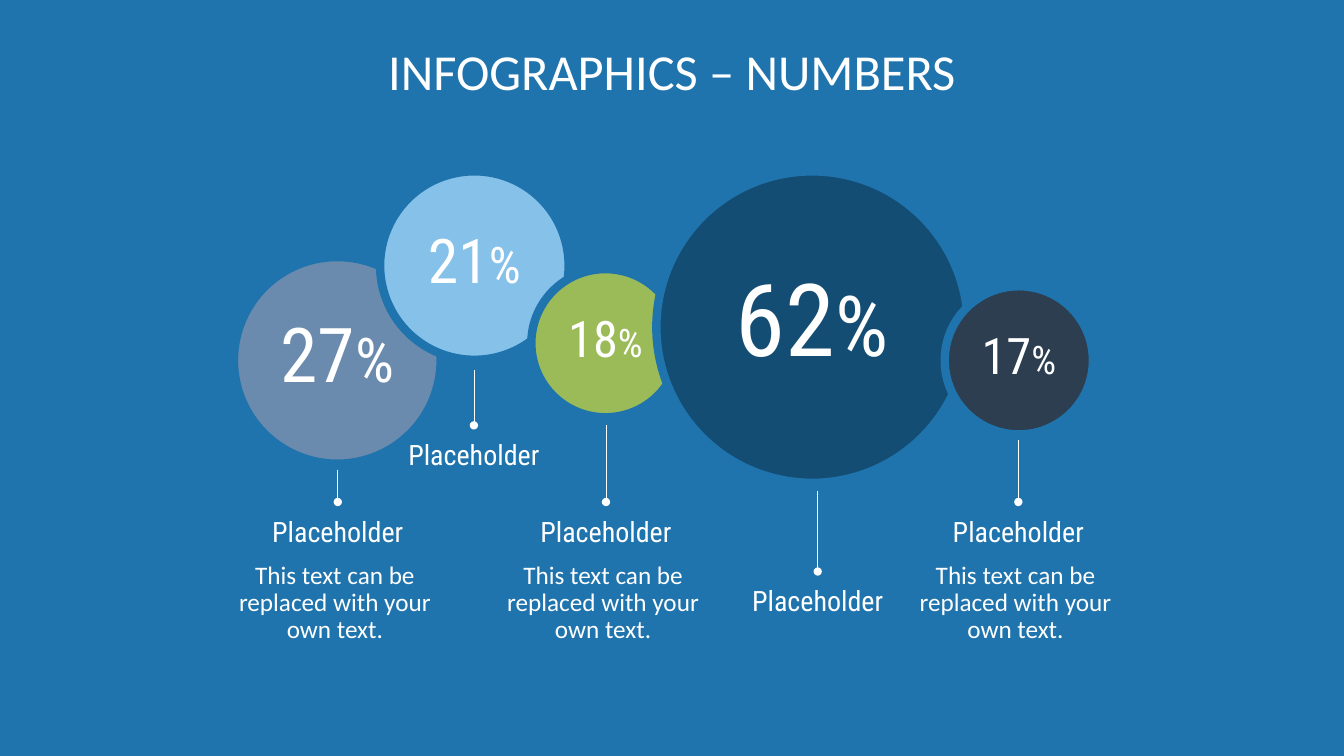
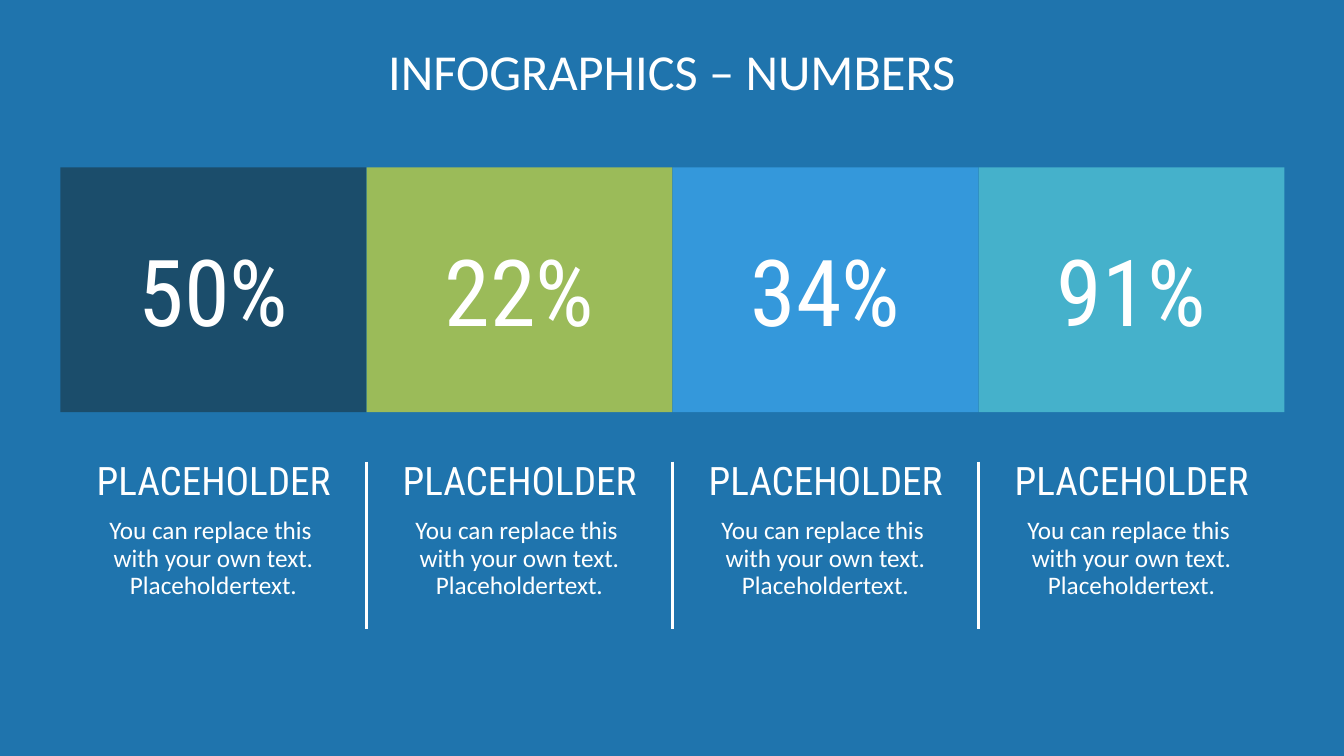
from dataclasses import dataclass

from lxml import etree
from pptx import Presentation
from pptx.dml.color import RGBColor
from pptx.enum.shapes import MSO_CONNECTOR, MSO_SHAPE
from pptx.enum.text import MSO_ANCHOR, PP_ALIGN
from pptx.oxml.ns import qn
from pptx.util import Inches, Pt

CENTER = PP_ALIGN.CENTER
MIDDLE = MSO_ANCHOR.MIDDLE
OVAL = MSO_SHAPE.OVAL
RECTANGLE = MSO_SHAPE.RECTANGLE
STRAIGHT = MSO_CONNECTOR.STRAIGHT

COLORS = {
    "background": "1F74AD",
    "white": "FFFFFF",
    "slate": "6A8BAD",
    "sky": "85C1E9",
    "green": "9BBB59",
    "navy": "144D73",
    "charcoal": "2C3E50",
    "deep": "1B4D6B",
    "blue": "3498DB",
    "teal": "45B1CB",
}
BODY_FONT = "Calibri"
NUMBER_FONT = "Roboto Condensed"
TITLE = "INFOGRAPHICS – NUMBERS"

CALLOUT_WIDTH = 2.12
CALLOUT_BODY = "This text can be \nreplaced with your \nown text. "
COLUMN_BODY = "You can replace this \nwith your own text. Placeholdertext."
GRID_LEFT, GRID_RIGHT = 0.6, 12.74
COLUMN_TOP = 4.58


@dataclass(frozen=True)
class Span:
    text: str
    size: int
    font: str = NUMBER_FONT


@dataclass(frozen=True)
class Bubble:
    left: float
    top: float
    diameter: float
    color: str
    number: str
    number_size: int
    percent_size: int


@dataclass(frozen=True)
class Callout:
    center: float
    line_top: float
    text_top: float
    body: str = ""


@dataclass(frozen=True)
class Tile:
    number: str
    color: str


BUBBLES = [
    Bubble(2.32, 2.55, 2.05, "slate", "27", 54, 44),
    Bubble(3.77, 1.7, 1.87, "sky", "21", 44, 36),
    Bubble(5.27, 2.67, 1.47, "green", "18", 36, 28),
    Bubble(6.51, 1.7, 3.09, "navy", "62", 72, 60),
    Bubble(9.37, 2.84, 1.47, "charcoal", "17", 36, 28),
]
CALLOUTS = [
    Callout(3.35, 4.66, 4.98, CALLOUT_BODY),
    Callout(4.7, 3.67, 4.22),
    Callout(6.01, 4.22, 4.98, CALLOUT_BODY),
    Callout(8.11, 4.87, 5.67),
    Callout(10.1, 4.37, 4.98, CALLOUT_BODY),
]
TILES = [
    Tile("50%", "deep"),
    Tile("22%", "green"),
    Tile("34%", "blue"),
    Tile("91%", "teal"),
]


def rgb(name: str) -> RGBColor:
    return RGBColor.from_string(COLORS[name])


def set_insets(frame, left: float, top: float, right: float, bottom: float) -> None:
    frame.margin_left, frame.margin_top = Inches(left), Inches(top)
    frame.margin_right, frame.margin_bottom = Inches(right), Inches(bottom)


def write(frame, paragraphs: list[list[Span]], line_spacing: float = 1.0,
          space_after: int = 0) -> None:
    """Fill a frame with centred white paragraphs made of spans."""
    frame.word_wrap = True
    frame.text = "\n".join("" for _ in paragraphs)
    for paragraph, spans in zip(frame.paragraphs, paragraphs):
        paragraph.alignment = CENTER
        paragraph.line_spacing = line_spacing
        paragraph.space_after = Pt(space_after)
        paragraph.text = spans[0].text
        for span in spans[1:]:
            paragraph.add_run().text = span.text
        # A text with line breaks becomes several runs of the same span.
        extra = len(paragraph.runs) - len(spans)
        for run, span in zip(paragraph.runs, [spans[0]] * extra + spans):
            run.font.size = Pt(span.size)
            run.font.name = span.font
            run.font.color.rgb = rgb("white")


def add_text(page, left: float, top: float, width: float, height: float,
             paragraphs: list[list[Span]], insets: tuple, space_after: int = 10) -> None:
    box = page.shapes.add_textbox(Inches(left), Inches(top), Inches(width), Inches(height))
    set_insets(box.text_frame, *insets)
    write(box.text_frame, paragraphs, 0.9, space_after)


def add_filled_shape(page, kind, left: float, top: float, width: float,
                     height: float, color: str):
    shape = page.shapes.add_shape(
        kind, Inches(left), Inches(top), Inches(width), Inches(height))
    shape.shadow.inherit = False
    shape.fill.solid()
    shape.fill.fore_color.rgb = rgb(color)
    shape.line.fill.background()
    shape.text_frame.vertical_anchor = MIDDLE
    return shape


def add_vertical_line(page, x: float, top: float, bottom: float, width: float,
                      dot: bool = False) -> None:
    line = page.shapes.add_connector(
        STRAIGHT, Inches(x), Inches(top), Inches(x), Inches(bottom))
    line.line.color.rgb = rgb("white")
    line.line.width = Pt(width)
    properties = line._element.spPr
    if dot:
        etree.SubElement(properties.find(qn("a:ln")), qn("a:tailEnd"), type="oval")
    etree.SubElement(properties, qn("a:effectLst"))


def add_page(deck):
    """Add a blank page with the shared background and title."""
    page = deck.slides.add_slide(deck.slide_layouts[6])
    page.background.fill.solid()
    page.background.fill.fore_color.rgb = rgb("background")
    add_text(page, 0.59, 0.47, 12.15, 1.18, [[Span(TITLE, 36, BODY_FONT)]],
             (0, 0, 0, 0), space_after=0)
    return page


def add_bubble(page, bubble: Bubble) -> None:
    circle = add_filled_shape(page, OVAL, bubble.left, bubble.top,
                              bubble.diameter, bubble.diameter, bubble.color)
    circle.line.color.rgb = rgb("background")
    circle.line.width = Pt(6)
    set_insets(circle.text_frame, 0.04, 0.04, 0.04, 0.04)
    spans = [Span(bubble.number, bubble.number_size), Span("%", bubble.percent_size)]
    write(circle.text_frame, [spans], 0.8, 10)


def add_callout(page, callout: Callout) -> None:
    add_vertical_line(page, callout.center, callout.line_top, callout.text_top, 0.5, dot=True)
    paragraphs = [[Span("Placeholder", 20)]]
    if callout.body:
        paragraphs.append([Span(callout.body, 18, BODY_FONT)])
    add_text(page, callout.center - CALLOUT_WIDTH / 2, callout.text_top, CALLOUT_WIDTH,
             1.39 if callout.body else 0.69, paragraphs, (0, 0.16, 0, 0))


def build_bubble_page(deck) -> None:
    page = add_page(deck)
    for bubble in BUBBLES:
        add_bubble(page, bubble)
    for callout in CALLOUTS:
        add_callout(page, callout)


def build_tile_page(deck) -> None:
    page = add_page(deck)
    width = (GRID_RIGHT - GRID_LEFT) / len(TILES)
    for index, tile in enumerate(TILES):
        left = GRID_LEFT + index * width
        shape = add_filled_shape(page, RECTANGLE, left, 1.66, width, 2.43, tile.color)
        write(shape.text_frame, [[Span(tile.number, 66)]])
        add_text(page, left, COLUMN_TOP, width, 1.78,
                 [[Span("PLACEHOLDER", 28)], [Span(COLUMN_BODY, 18, BODY_FONT)]],
                 (0.2, 0, 0.2, 0))
        if index:
            add_vertical_line(page, left, COLUMN_TOP, 6.24, 1.5)


def main() -> None:
    deck = Presentation()
    deck.slide_width, deck.slide_height = Inches(13.33), Inches(7.5)
    build_bubble_page(deck)
    build_tile_page(deck)
    deck.save("out.pptx")


if __name__ == "__main__":
    main()
